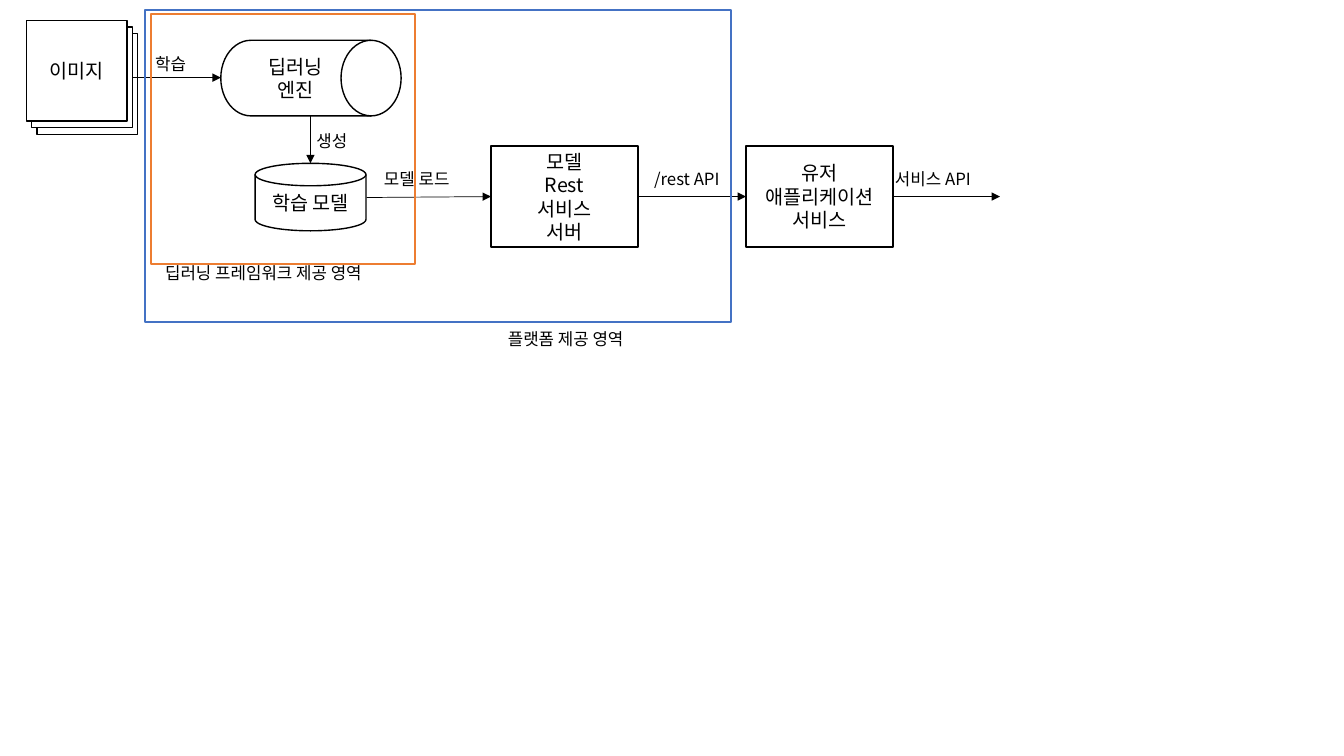
import pptx
import pptx.util
import pptx.dml.color
import pptx.enum.shapes
import pptx.enum.text
import pptx.oxml.ns
import lxml.etree

Pt = pptx.util.Pt
RGB = pptx.dml.color.RGBColor.from_string
MSO = pptx.enum.shapes.MSO_SHAPE
qn = pptx.oxml.ns.qn

FONT = "Noto Sans CJK KR"
COLORS = {"ink": "000000", "paper": "FFFFFF", "service": "4472C4", "framework": "ED7D31"}

prs = pptx.Presentation()
prs.slide_width = pptx.util.Inches(13.33)
prs.slide_height = pptx.util.Inches(7.5)
s = prs.slides.add_slide(prs.slide_layouts[6])

# Grid of 100 columns by 100 rows
COL, ROW = prs.slide_width / 100, prs.slide_height / 100
BOX_H = 13.33
MID = 26


def grid(x, y, *size):
    return [round(n * unit) for n, unit in zip((x, y, *size), (COL, ROW, COL, ROW))]


def write(tf, lines, size, align):
    for i, line in enumerate(lines):
        p = tf.paragraphs[0] if i == 0 else tf.add_paragraph()
        p.alignment = align
        p.line_spacing = Pt(size * 1.2)
        r = p.add_run()
        r.text = line
        r.font.size = Pt(size)
        r.font.name = FONT
        r.font.color.rgb = RGB(COLORS["ink"])
        ea = lxml.etree.SubElement(r.font._element, qn("a:ea"))
        ea.set("typeface", FONT)


# Image stack, engine, model and servers
stack = [(MSO.RECTANGLE, (1.95 + 0.4 * i, 2.7 + 0.87 * i, 7.5, BOX_H), [] if i else ["이미지"])
         for i in (2, 1, 0)]
nodes = stack + [
    (MSO.FLOWCHART_DIRECT_ACCESS_STORAGE, (16.43, 5.33, 13.42, 10), ["딥러닝", "엔진"]),
    (MSO.FLOWCHART_MAGNETIC_DISK, (18.98, 21.6, 8.25, 8.93), ["학습 모델"]),
    (MSO.RECTANGLE, (36.53, 19.33, 10.95, BOX_H), ["모델", "Rest", "서비스", "서버"]),
    (MSO.RECTANGLE, (55.5, 19.33, 10.95, BOX_H), ["유저", "애플리케이션", "서비스"]),
]
for kind, place, lines in nodes:
    sp = s.shapes.add_shape(kind, *grid(*place))
    sp.shadow.inherit = False
    sp.fill.solid()
    sp.fill.fore_color.rgb = RGB(COLORS["paper"])
    sp.line.color.rgb = RGB(COLORS["ink"])
    sp.line.width = Pt(1)
    sp.text_frame.vertical_anchor = pptx.enum.text.MSO_ANCHOR.MIDDLE
    write(sp.text_frame, lines, 14, pptx.enum.text.PP_ALIGN.CENTER)

# Arrows
arrows = [
    ((9.83, 10.27), (16.43, 10.27)),
    ((23.1, 15.33), (23.1, 21.6)),
    ((27.27, MID + 0.13), (36.53, MID)),
    ((47.48, MID), (55.5, MID)),
    ((66.45, MID), (74.4, MID)),
]
for start, end in arrows:
    cxn = s.shapes.add_connector(pptx.enum.shapes.MSO_CONNECTOR.STRAIGHT, *grid(*start), *grid(*end))
    cxn.line.color.rgb = RGB(COLORS["ink"])
    cxn.line.width = Pt(0.5)
    tail = lxml.etree.SubElement(cxn.line._get_or_add_ln(), qn("a:tailEnd"))
    tail.set("type", "triangle")
    lxml.etree.SubElement(cxn._element.spPr, qn("a:effectLst"))

# Region frames
regions = [
    ("service", (10.8, 1.33, 43.58, 41.33)),
    ("framework", (11.25, 1.87, 19.65, 33.07)),
]
for color, place in regions:
    sp = s.shapes.add_shape(MSO.RECTANGLE, *grid(*place))
    sp.shadow.inherit = False
    sp.fill.background()
    sp.line.color.rgb = RGB(COLORS[color])
    sp.line.width = Pt(1.5)

# Arrow labels and region captions
labels = [
    ("학습", 10.8, 6.4, 4.05),
    ("생성", 22.8, 16.67, 4.05),
    ("모델 로드", 27.83, 21.6, 6.98),
    ("/rest API", 47.93, 21.6, 6.45),
    ("서비스 API", 65.85, 21.6, 7.65),
    ("딥러닝 프레임워크 제공 영역", 11.55, 34.13, 18),
    ("플랫폼 제공 영역", 37.05, 42.8, 12.53),
]
for text, x, y, w in labels:
    tf = s.shapes.add_textbox(*grid(x, y, w, 4)).text_frame
    tf.word_wrap = False
    tf.auto_size = pptx.enum.text.MSO_AUTO_SIZE.SHAPE_TO_FIT_TEXT
    write(tf, [text], 12, pptx.enum.text.PP_ALIGN.LEFT)

prs.save("out.pptx")
